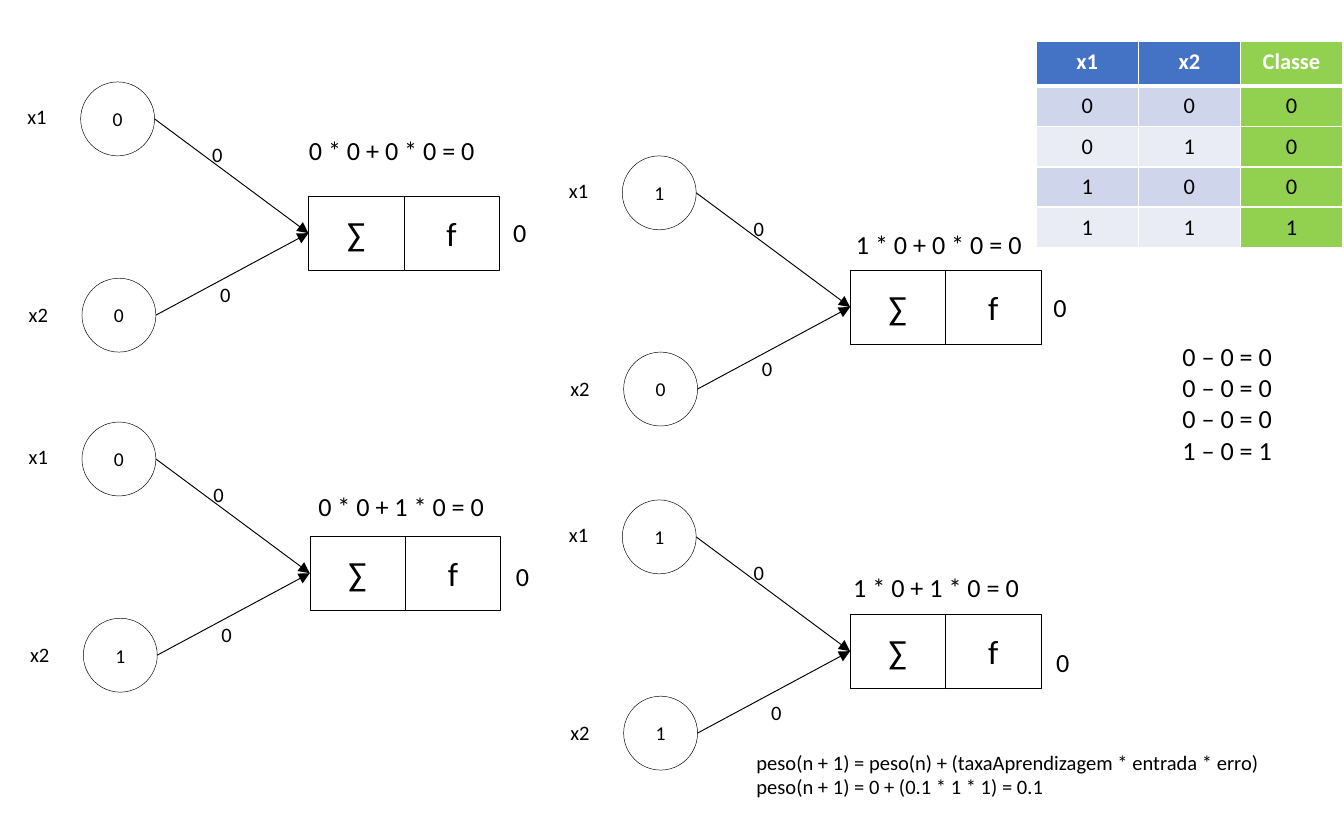
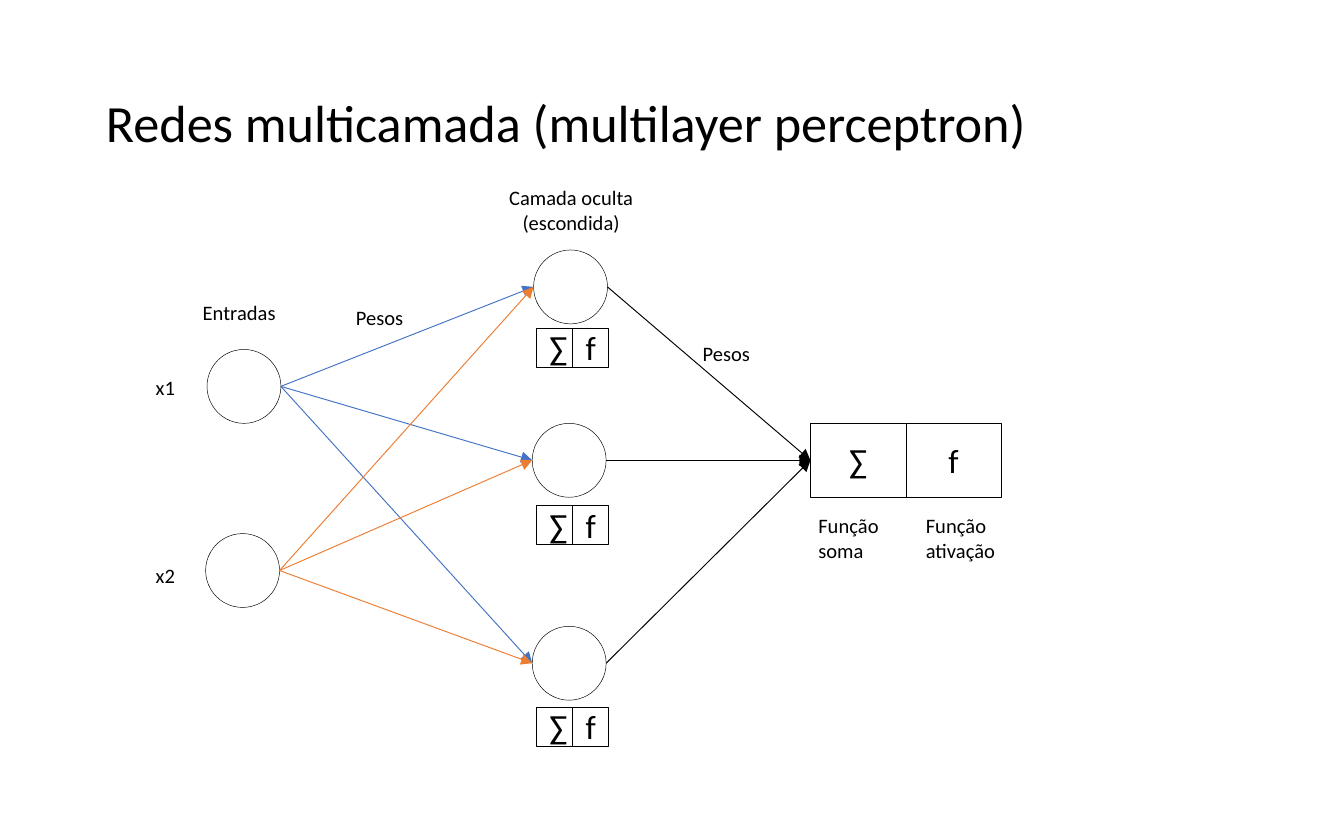
from itertools import product

from lxml import etree
from pptx import Presentation
from pptx.dml.color import RGBColor as RGB
from pptx.enum.shapes import MSO_CONNECTOR as CXN, MSO_SHAPE as SHAPE
from pptx.enum.text import MSO_ANCHOR as ANCHOR, MSO_AUTO_SIZE as AUTO, PP_ALIGN as ALIGN
from pptx.oxml.ns import qn
from pptx.util import Inches, Pt

COLORS = {"ink": "000000", "paper": "FFFFFF", "blue": "4472C4", "orange": "ED7D31",
          "green": "92D050", "band": "CFD5EA", "pale": "E9EBF5"}
COLS, ROWS = 100, 62.5
NODE, CELL_W = 5.5, 7.1


def rgb(name):
    return RGB.from_string(COLORS[name])


class Deck:
    """Holds the style and the current slide, measured in grid columns and rows."""

    def __init__(self):
        self.prs = Presentation()
        self.prs.slide_width, self.prs.slide_height = Inches(10), Inches(6.25)

    def new_slide(self):
        self.slide = self.prs.slides.add_slide(self.prs.slide_layouts[6])
        self.shapes = self.slide.shapes

    def group(self):
        self.shapes = self.slide.shapes.add_group_shape().shapes

    def ungroup(self):
        self.shapes = self.slide.shapes

    def col(self, n):
        return round(self.prs.slide_width * n / COLS)

    def row(self, n):
        return round(self.prs.slide_height * n / ROWS)

    def box(self, x, y, w, h):
        return self.col(x), self.row(y), self.col(w), self.row(h)

    def style_text(self, tf, text, size, color="ink", align=ALIGN.LEFT, bold=False):
        tf.text = text
        for p in tf.paragraphs:
            p.alignment = align
            for r in p.runs:
                r.font.name, r.font.size, r.font.bold = "Calibri", Pt(size), bold
                r.font.color.rgb = rgb(color)

    def shape(self, kind, x, y, w, h, text="", size=18):
        sp = self.shapes.add_shape(kind, *self.box(x, y, w, h))
        sp.shadow.inherit = False
        sp.fill.solid()
        sp.fill.fore_color.rgb = rgb("paper")
        sp.line.color.rgb, sp.line.width = rgb("ink"), Pt(0.25)
        sp.text_frame.vertical_anchor = ANCHOR.MIDDLE
        self.style_text(sp.text_frame, text, size, align=ALIGN.CENTER)
        return sp

    def node(self, x, y, text=""):
        return self.shape(SHAPE.OVAL, x, y, NODE, NODE, text, 10.5)

    def neuron(self, x, y, w=CELL_W, h=NODE):
        total, _ = [self.shape(SHAPE.RECTANGLE, x + i * w, y, w, h, sign)
                    for i, sign in enumerate("∑f")]
        return total

    def label(self, x, y, w, h, text, size=11, align=ALIGN.LEFT, wrap=False):
        sp = self.shapes.add_textbox(*self.box(x, y, w, h))
        tf = sp.text_frame
        tf.word_wrap, tf.auto_size = wrap, AUTO.SHAPE_TO_FIT_TEXT
        self.style_text(tf, text, size, align=align)
        return tf

    def arrow(self, start, end, color="ink", join=False):
        ends = (start.left + start.width, start.top + start.height // 2,
                end.left, end.top + end.height // 2)
        cx = self.shapes.add_connector(CXN.STRAIGHT, *ends)
        if join:
            cx.end_connect(end, 1)
        cx.line.color.rgb, cx.line.width = rgb(color), Pt(0.5)
        spPr = cx._element.spPr
        etree.SubElement(spPr.find(qn("a:ln")), qn("a:tailEnd"), type="triangle")
        etree.SubElement(spPr, qn("a:effectLst"))

    def title(self, text):
        tf = self.label(6.9, 3.3, 86.2, 12.1, text, 28, wrap=True)
        tf.auto_size, tf.vertical_anchor = AUTO.NONE, ANCHOR.MIDDLE
        tf.paragraphs[0].line_spacing = 0.9

    def border(self, cell, side, width):
        ln = etree.SubElement(cell._tc.get_or_add_tcPr(), qn("a:ln" + side), w=str(Pt(width)))
        fill = etree.SubElement(ln, qn("a:solidFill"))
        etree.SubElement(fill, qn("a:srgbClr"), val=COLORS["paper"])

    def table(self, x, y, col_w, heights, data):
        size = len(data), len(data[0])
        frame = self.shapes.add_table(*size, *self.box(x, y, col_w * size[1], sum(heights)))
        tbl = frame.table
        for c in tbl.columns:
            c.width = self.col(col_w)
        for r, h in zip(tbl.rows, heights):
            r.height = self.row(h)
        for i, j in product(*map(range, size)):
            cell, head = tbl.cell(i, j), i == 0
            self.style_text(cell.text_frame, data[i][j], 12, "paper" if head else "ink",
                            ALIGN.CENTER, head)
            for side in "LRTB":
                thick = (head and side == "B") or (i == 1 and side == "T")
                self.border(cell, side, 3 if thick else 1)
            band = "blue" if head else "band" if i % 2 else "pale"
            cell.fill.solid()
            cell.fill.fore_color.rgb = rgb("green" if j == size[1] - 1 else band)

    def perceptron(self, x, y, inputs, weight_x=9.4):
        self.group()
        nodes = [self.node(x + 0.1 * i, y + 14.6 * i, v) for i, v in enumerate(inputs)]
        total = self.neuron(x + 16.95, y + 8.5)
        for n in nodes:
            self.arrow(n, total, join=True)
        for dx, dy in ((8.8, 4), (weight_x, 14.4)):
            self.label(x + dx, y + dy, 3, 2.9, "0")
        for i in range(2):
            self.label(x - 4.95 + 0.1 * i, y + 1.15 + 14.75 * i, 3.9, 2.9, f"x{i + 1}")
        self.ungroup()


def training_slide(d):
    d.new_slide()
    d.perceptron(6, 6.1, "00")
    d.table(77.1, 3.1, 7.6, [3.3] + [2.8] * 4,
            [["x1", "x2", "Classe"], *("000", "010", "100", "111")])
    d.perceptron(6.1, 31.4, "01")
    d.perceptron(46.3, 11.6, "10")
    d.perceptron(46.3, 37.2, "11", 10.1)
    sums = [(22, 9.5, "00"), (22.7, 36, "01"), (62.7, 16.5, "10"), (62.5, 42, "11")]
    for x, y, (a, b) in sums:
        d.label(x, y, 14.4, 3.4, f"{a} * 0 + {b} * 0 = 0", 14)
    for x, y in ((37.2, 15.6), (37.4, 41.2), (77.4, 21.2), (77.6, 47.6)):
        d.label(x, y, 3, 3.4, "0", 14)
    d.label(87, 24.8, 8.7, 10.4, "\n".join(["0 – 0 = 0"] * 3 + ["1 – 0 = 1"]), 14)
    tf = d.label(50.3, 55.3, 50, 4.7,
                 "peso(n + 1) = peso(n) + (taxaAprendizagem * entrada * erro)\n"
                 "peso(n + 1) = 0 + (0.1 * 1 * 1) = 0.1", wrap=True)
    for p in tf.paragraphs:
        p.level = 1
        pPr = p._p.get_or_add_pPr()
        pPr.set("marL", str(d.col(5)))
        pPr.set("indent", "0")


def multilayer_slide(d):
    d.new_slide()
    d.title("Redes multicamada (multilayer perceptron)")
    d.group()
    hidden = [d.node(x, y) for x, y in ((39.7, 18.6), (39.6, 31.5), (39.6, 46.6))]
    output = d.neuron(60.3, 31.5)
    for n in hidden:
        d.arrow(n, output, join=True)
    inputs = [d.node(15.4, 26), d.node(15.3, 39.7)]
    for (n, color), target in product(zip(inputs, ("blue", "orange")), hidden):
        d.arrow(n, target, color)
    for y in (24.4, 37.6, 52.6):
        d.neuron(39.9, y, 2.7, 2.9)
    d.label(35.7, 13.3, 13.6, 4.7, "Camada oculta\n(escondida)", align=ALIGN.CENTER)
    for x, y, w, h, text in ((14.1, 21.8, 8.5, 2.9, "Entradas"),
                             (51.3, 24.9, 6.3, 2.9, "Pesos"),
                             (25.5, 22.2, 6.3, 2.9, "Pesos"),
                             (59.9, 37.7, 7.9, 4.7, "Função\nsoma"),
                             (67.9, 37.7, 8.2, 4.7, "Função\nativação"),
                             (10.6, 27.4, 3.9, 2.9, "x1"),
                             (10.6, 41.4, 3.9, 2.9, "x2")):
        d.label(x, y, w, h, text)


def main():
    d = Deck()
    training_slide(d)
    multilayer_slide(d)
    d.prs.save("out.pptx")


if __name__ == "__main__":
    main()
